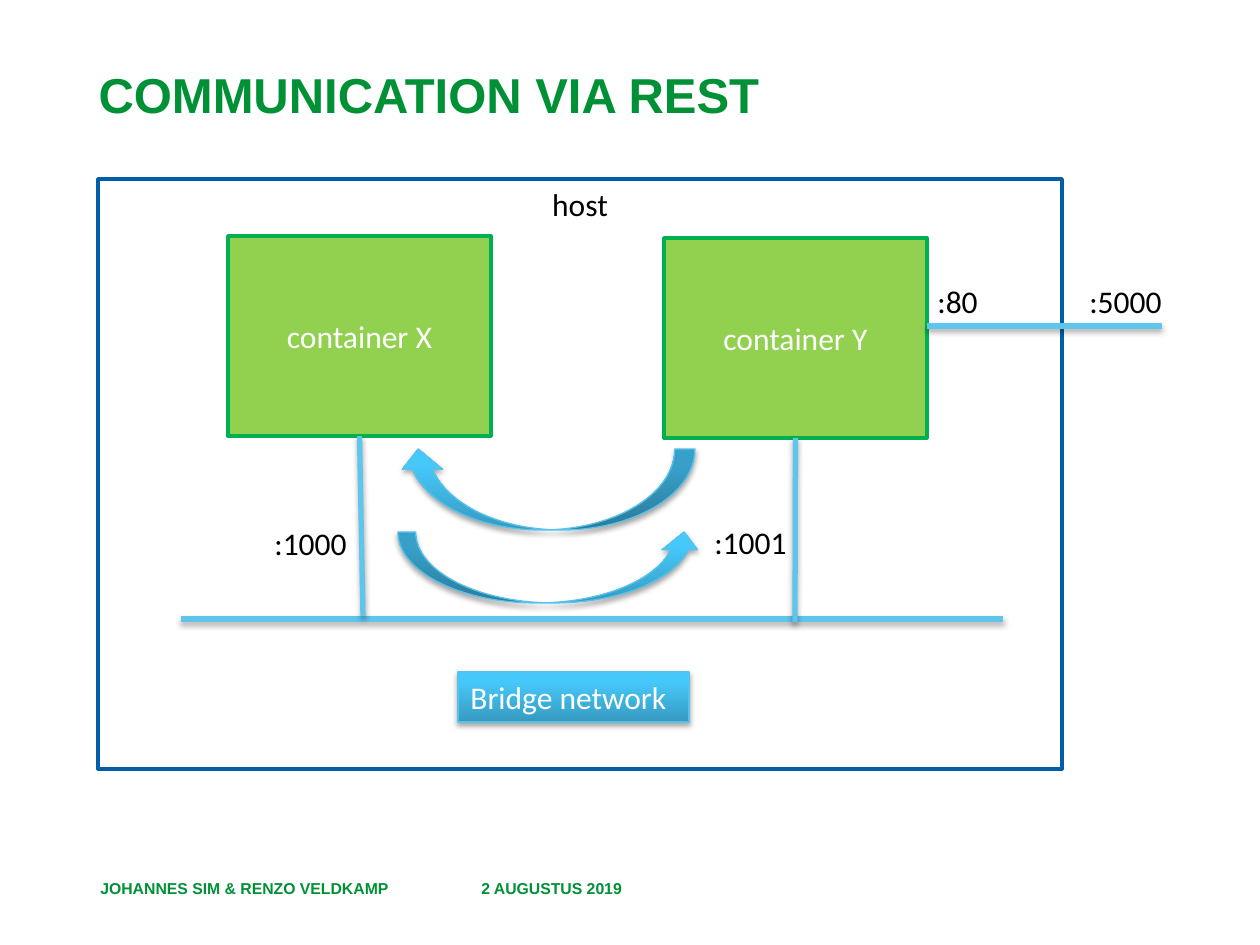
from pptx import Presentation
from pptx.dml.color import RGBColor
from pptx.enum.shapes import MSO_CONNECTOR, MSO_SHAPE
from pptx.enum.text import MSO_ANCHOR, MSO_AUTO_SIZE, PP_ALIGN
from pptx.oxml import parse_xml
from pptx.oxml.ns import nsdecls, qn
from pptx.util import Emu, Inches, Pt

# Content: places are left, top, width, height in px
TITLE = ("COMMUNICATION VIA REST", (86, 65, 1125, 113))
FOOTERS = [
    ("2 AUGUSTUS 2019", (469, 863, 294, 50)),
    ("JOHANNES SIM & RENZO VELDKAMP", (88, 863, 363, 50)),
]
HOST = ("host", (98, 179, 964, 590))
CONTAINERS = [
    ("container X", (228, 236, 263, 200)),
    ("container Y", (664, 238, 263, 200)),
]
NETWORK = ("Bridge network", (458, 672, 231, 50))
BUS = (181, 619, 1003, 619)
DROP_ENDS = [(363, 616), (795, 622)]  # one below each container
HOST_PORT = (927, 326, 1162, 326)
PORTS = [
    (":1000", (262, 518, 98, 50)),
    (":1001", (702, 517, 98, 50)),
    (":80", (925, 276, 67, 50)),
    (":5000", (1077, 276, 98, 50)),
]
ARROWS = [((398, 532, 304, 71), False), ((398, 449, 297, 81), True)]

COLORS = {
    "brand": "009036", "white": "FFFFFF", "black": "000000",
    "host_line": "005EA8", "box": "92D050", "box_line": "00B050",
    "wire": "5EC5ED", "glossy_line": "58C2EB",
}
GLOSS = [(0, "369AC1"), (80, "46C8FA"), (100, "43CAFF")]
HEADING = {"name": "Arial", "size": Pt(28), "bold": True}
FOOTER = {"name": "Arial", "size": Pt(9), "bold": True}
LABEL = {"name": "Calibri", "size": Pt(18)}
PX = 914400 / 126


def emu(lengths):
    return [Emu(round(n * PX)) for n in lengths]


def rgb(name):
    return RGBColor.from_string(COLORS[name])


def write(holder, text, font, color, align=PP_ALIGN.LEFT,
          anchor=MSO_ANCHOR.TOP, fit=False):
    frame = holder.text_frame
    frame.word_wrap = not fit
    frame.auto_size = MSO_AUTO_SIZE.SHAPE_TO_FIT_TEXT if fit else MSO_AUTO_SIZE.NONE
    frame.vertical_anchor = anchor
    line = frame.paragraphs[0]
    line.alignment = align
    run = line.add_run()
    run.text = text
    for key, value in font.items():
        setattr(run.font, key, value)
    run.font.color.rgb = rgb(color)
    return line


def add_label(text, place, font, color, **options):
    write(slide.shapes.add_textbox(*emu(place)), text, font, color, **options)


def cast_shadow(item):
    item._element.spPr.append(parse_xml(
        f'<a:effectLst {nsdecls("a")}><a:outerShdw blurRad="40000" dist="23000" '
        'dir="5400000" rotWithShape="0"><a:srgbClr val="000000">'
        '<a:alpha val="35000"/></a:srgbClr></a:outerShdw></a:effectLst>'))


def outline(item, color, width):
    item.line.color.rgb = rgb(color)
    item.line.width = Pt(width)


def add_box(place, fill, line):
    box = slide.shapes.add_shape(MSO_SHAPE.RECTANGLE, *emu(place))
    box.fill.solid()
    box.fill.fore_color.rgb = rgb(fill)
    outline(box, line, 2)
    box.shadow.inherit = False
    return box


def add_glossy(kind, place):
    shape = slide.shapes.add_shape(kind, *emu(place))
    outline(shape, "glossy_line", 0.75)
    stops = "".join(f'<a:gs pos="{pos * 1000}"><a:srgbClr val="{color}"/></a:gs>'
                    for pos, color in GLOSS)
    shape._element.spPr.find(qn("a:ln")).addprevious(parse_xml(
        f'<a:gradFill {nsdecls("a")} rotWithShape="1"><a:gsLst>{stops}</a:gsLst>'
        '<a:lin ang="16200000" scaled="0"/></a:gradFill>'))
    cast_shadow(shape)
    return shape


def add_wire(ends):
    wire = slide.shapes.add_connector(MSO_CONNECTOR.STRAIGHT, *emu(ends))
    outline(wire, "wire", 3)
    cast_shadow(wire)
    return wire


prs = Presentation()
prs.slide_width, prs.slide_height = Inches(10), Inches(7.5)
slide = prs.slides.add_slide(prs.slide_layouts[5])

# Title and footers
text, place = TITLE
title = slide.shapes.title
title.left, title.top, title.width, title.height = emu(place)
write(title, text, HEADING, "brand").line_spacing = Pt(30)
for text, place in FOOTERS:
    add_label(text, place, FOOTER, "brand", anchor=MSO_ANCHOR.MIDDLE)

# Host and its network
text, place = HOST
write(add_box(place, "white", "host_line"), text, LABEL, "black", PP_ALIGN.CENTER)
add_wire(BUS)
text, place = NETWORK
write(add_glossy(MSO_SHAPE.RECTANGLE, place), text, LABEL, "white", fit=True)

# Containers, each wired to the network
for (text, place), end in zip(CONTAINERS, DROP_ENDS):
    container = add_box(place, "box", "box_line")
    write(container, text, LABEL, "white", PP_ALIGN.CENTER, MSO_ANCHOR.MIDDLE)
    left, top, width, height = place
    drop = add_wire((left + width / 2, top + height, *end))
    drop.begin_connect(container, 2)

# Ports
add_wire(HOST_PORT)
for text, place in PORTS:
    add_label(text, place, LABEL, "black", fit=True)

# Request and response arrows
for place, flipped in ARROWS:
    arrow = add_glossy(MSO_SHAPE.CURVED_UP_ARROW, place)
    if flipped:
        arrow._element.spPr.find(qn("a:xfrm")).set("flipH", "1")

prs.save("out.pptx")
